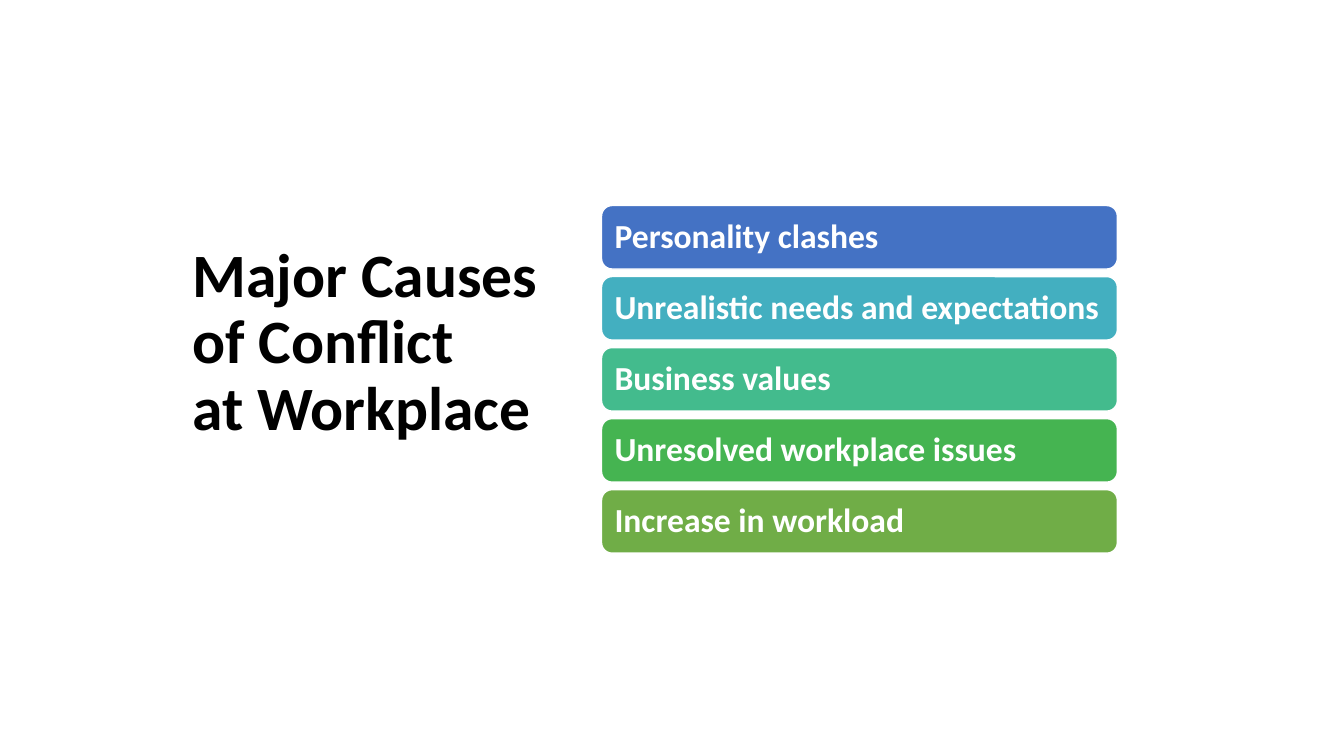
"""Build a slide listing the major causes of conflict at the workplace."""
from pptx import Presentation
from pptx.dml.color import RGBColor
from pptx.enum.shapes import MSO_SHAPE
from pptx.enum.text import MSO_ANCHOR, PP_ALIGN
from pptx.util import Cm, Pt

TITLE_LINES = ("Major Causes", "of Conflict", "at Workplace")
CAUSES = (
    ("Personality clashes", "blue"),
    ("Unrealistic needs and expectations", "teal"),
    ("Business values", "mint"),
    ("Unresolved workplace issues", "green"),
    ("Increase in workload", "olive"),
)
COLORS = {
    "black": "000000",
    "white": "FFFFFF",
    "blue": "4472C4",
    "teal": "43AFC0",
    "mint": "43BB8D",
    "green": "45B451",
    "olive": "70AD47",
}
BAR_LEFT, BAR_TOP, BAR_WIDTH, BAR_HEIGHT, BAR_PITCH = 15.16, 5.18, 13, 1.6, 1.79


def color(name):
    return RGBColor.from_string(COLORS[name])


def write(shape, text, size, ink, inset=0.25):
    frame = shape.text_frame
    frame.word_wrap = True
    frame.vertical_anchor = MSO_ANCHOR.MIDDLE
    frame.margin_left = frame.margin_right = Cm(inset)
    frame.margin_top = frame.margin_bottom = Cm(0.13)
    para = frame.paragraphs[0]
    para.text = text
    para.alignment = PP_ALIGN.LEFT
    para.line_spacing = 0.9
    for span in para.runs:
        span.font.name = "Calibri"
        span.font.size = Pt(size)
        span.font.bold = True
        span.font.color.rgb = color(ink)


def add_bar(page, row, text, fill):
    bar = page.shapes.add_shape(
        MSO_SHAPE.ROUNDED_RECTANGLE,
        Cm(BAR_LEFT), Cm(BAR_TOP + row * BAR_PITCH), Cm(BAR_WIDTH), Cm(BAR_HEIGHT),
    )
    bar.shadow.inherit = False
    bar.fill.solid()
    bar.fill.fore_color.rgb = color(fill)
    bar.line.color.rgb = color("white")
    bar.line.width = Pt(1)
    write(bar, text, size=24, ink="white")


def main():
    deck = Presentation()
    deck.slide_width, deck.slide_height = Cm(33.87), Cm(19.05)
    page = deck.slides.add_slide(deck.slide_layouts[6])
    title = page.shapes.add_textbox(Cm(4.6), Cm(4.34), Cm(10.24), Cm(8.66))
    write(title, "\v".join(TITLE_LINES), size=44, ink="black")
    for row, (text, fill) in enumerate(CAUSES):
        add_bar(page, row, text, fill)
    deck.save("out.pptx")


if __name__ == "__main__":
    main()
